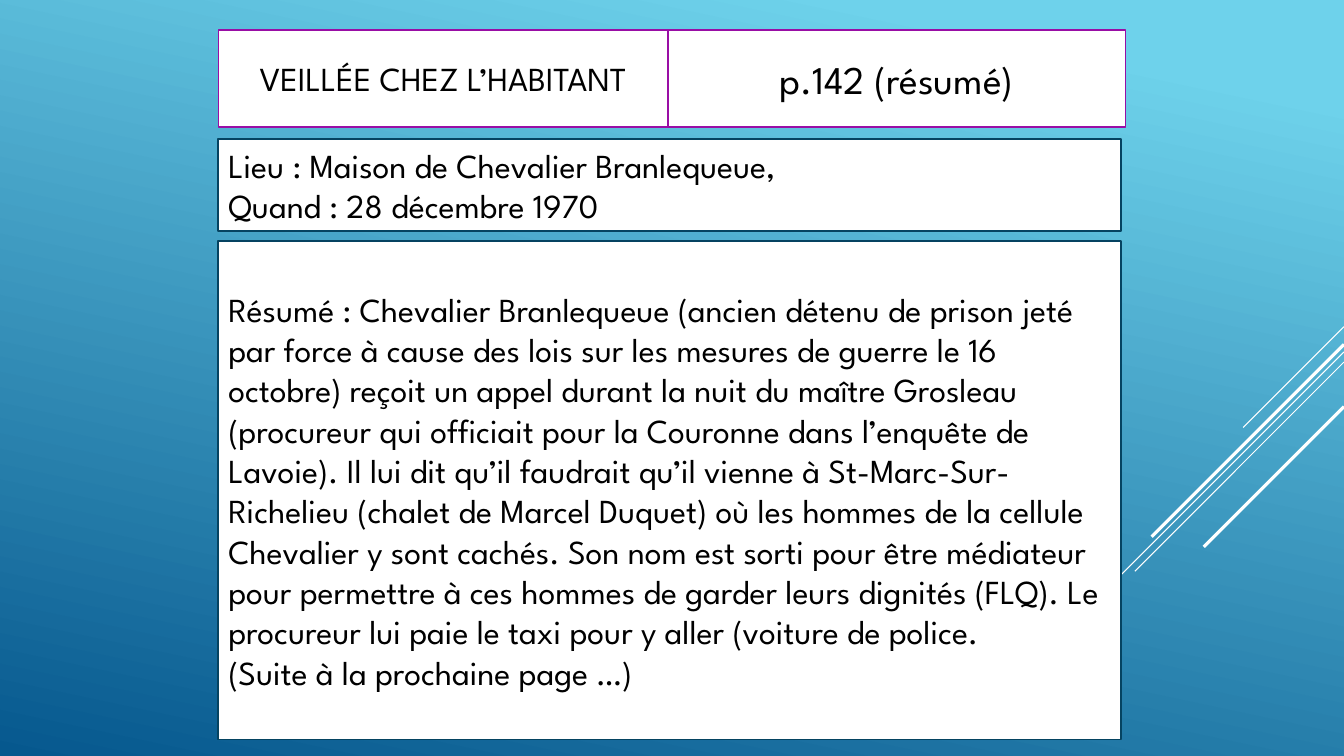
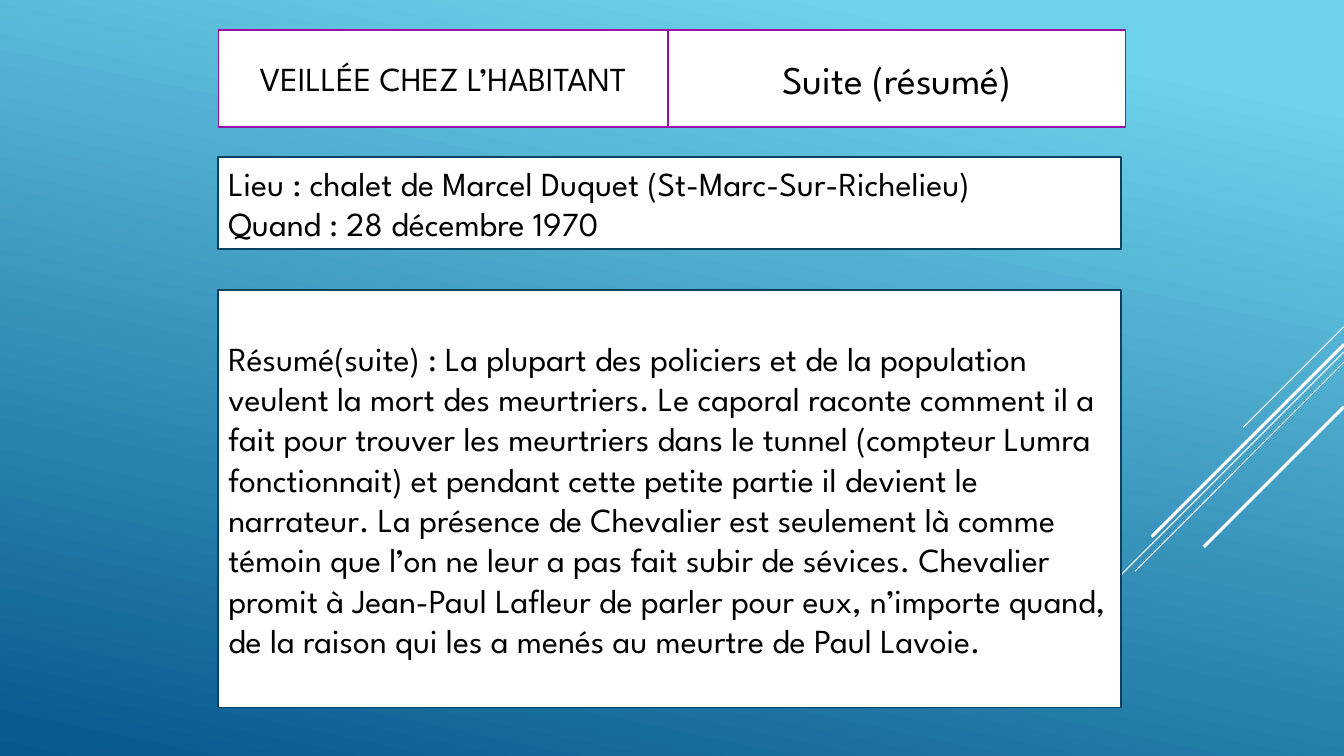
from dataclasses import dataclass

from lxml.etree import SubElement
from pptx import Presentation
from pptx.dml.color import RGBColor
from pptx.enum.shapes import MSO_CONNECTOR, MSO_SHAPE
from pptx.enum.text import MSO_ANCHOR, MSO_AUTO_SIZE, PP_ALIGN
from pptx.oxml.ns import qn
from pptx.util import Inches, Pt


@dataclass(frozen=True)
class Theme:
    font: str = "League Spartan"
    text: RGBColor = RGBColor(0, 0, 0)
    panel: RGBColor = RGBColor(0xFF, 0xFF, 0xFF)
    heading_border: RGBColor = RGBColor(0x99, 0x0E, 0xA5)
    content_border: RGBColor = RGBColor(0x05, 0x43, 0x61)
    sky_light: RGBColor = RGBColor(0x6E, 0xD2, 0xEB)
    sky_dark: RGBColor = RGBColor(0x06, 0x58, 0x8E)
    body_size: int = 24
    page_size: int = 28
    border_width: float = 1.25


@dataclass(frozen=True)
class Frame:
    """A rectangle in grid cells."""
    column: float
    row: float
    columns: float
    rows: float


@dataclass(frozen=True)
class Streak:
    """A diagonal that falls from the right edge of the slide."""
    row: float
    run: float
    width: float


@dataclass(frozen=True)
class Summary:
    page: str
    setting: list[str]
    setting_row: float
    story: list[str]
    story_row: float
    story_rows: float


THEME = Theme()

# Grid of square cells: 160 columns by 90 rows
COLUMNS, ROWS = 160, 90
SLIDE_WIDTH, SLIDE_HEIGHT = Inches(13.33), Inches(7.5)

LEFT, CONTENT_COLUMNS, SETTING_ROWS = 26, 107.5, 10.95
TITLE_FRAME = Frame(LEFT, 3.6, 53.5, 11.5)
PAGE_FRAME = Frame(LEFT + TITLE_FRAME.columns, TITLE_FRAME.row, 54.5, TITLE_FRAME.rows)

STREAKS = [
    Streak(38.9, 12, 0.75),
    Streak(41.9, 39.1, 0.75),
    Streak(43.1, 24.9, 0.75),
    Streak(41, 22.9, 2.25),
    Streak(48.4, 16.7, 2.25),
]

TITLE = "VEILLÉE CHEZ L’HABITANT"
SUMMARIES = [
    Summary(
        page="p.142 (résumé)",
        setting=["Lieu : Maison de Chevalier Branlequeue,", "Quand : 28 décembre 1970"],
        setting_row=16.55,
        story=[
            "Résumé : Chevalier Branlequeue (ancien détenu de prison jeté par force à cause "
            "des lois sur les mesures de guerre le 16 octobre) reçoit un appel durant la nuit "
            "du maître Grosleau (procureur qui officiait pour la Couronne dans l’enquête de "
            "Lavoie). Il lui dit qu’il faudrait qu’il vienne à St-Marc-Sur-Richelieu (chalet "
            "de Marcel Duquet) où les hommes de la cellule Chevalier y sont cachés. Son nom "
            "est sorti pour être médiateur pour permettre à ces hommes de garder leurs "
            "dignités (FLQ). Le procureur lui paie le taxi pour y aller (voiture de police.",
            "(Suite à la prochaine page …)",
        ],
        story_row=28.65,
        story_rows=59.4,
    ),
    Summary(
        page="Suite (résumé)",
        setting=["Lieu : chalet de Marcel Duquet (St-Marc-Sur-Richelieu)",
                 "Quand : 28 décembre 1970"],
        setting_row=18.7,
        story=[
            "Résumé(suite) : La plupart des policiers et de la population veulent la mort des "
            "meurtriers. Le caporal raconte comment il a fait pour trouver les meurtriers dans "
            "le tunnel (compteur Lumra fonctionnait) et pendant cette petite partie il devient "
            "le narrateur. La présence de Chevalier est seulement là comme témoin que l’on ne "
            "leur a pas fait subir de sévices. Chevalier promit à Jean-Paul Lafleur de parler "
            "pour eux, n’importe quand, de la raison qui les a menés au meurtre de Paul Lavoie.",
        ],
        story_row=34.55,
        story_rows=49.7,
    ),
]


def across(columns: float) -> int:
    return round(SLIDE_WIDTH * columns / COLUMNS)


def down(rows: float) -> int:
    return round(SLIDE_HEIGHT * rows / ROWS)


def paint_background(master) -> None:
    fill = master.background.fill
    fill.gradient()
    fill.gradient_angle = 258
    stops = zip(fill.gradient_stops, (0.1, 1), (THEME.sky_light, THEME.sky_dark))
    for stop, position, color in stops:
        stop.position = position
        stop.color.rgb = color


def add_streaks(slide) -> None:
    for streak in STREAKS:
        connector = slide.shapes.add_connector(
            MSO_CONNECTOR.STRAIGHT,
            across(COLUMNS), down(streak.row),
            across(COLUMNS - streak.run), down(streak.row + streak.run))
        connector.line.color.rgb = THEME.panel
        connector.line.width = Pt(streak.width)
        SubElement(connector._element.spPr, qn("a:effectLst"))


def format_panel(shape, frame: Frame, paragraphs: list[str], border: RGBColor,
                 alignment: PP_ALIGN, size: int) -> None:
    shape.left, shape.top = across(frame.column), down(frame.row)
    shape.width, shape.height = across(frame.columns), down(frame.rows)
    shape.fill.solid()
    shape.fill.fore_color.rgb = THEME.panel
    shape.line.color.rgb = border
    shape.line.width = Pt(THEME.border_width)
    text_frame = shape.text_frame
    text_frame.text = "\n".join(paragraphs)
    text_frame.word_wrap = True
    text_frame.auto_size = MSO_AUTO_SIZE.NONE
    text_frame.vertical_anchor = MSO_ANCHOR.MIDDLE
    for paragraph in text_frame.paragraphs:
        paragraph.alignment = alignment
        paragraph.font.name = THEME.font
        paragraph.font.size = Pt(size)
        paragraph.font.color.rgb = THEME.text


def add_panel(slide, frame: Frame, paragraphs: list[str], border: RGBColor = THEME.content_border,
              alignment: PP_ALIGN = PP_ALIGN.LEFT, size: int = THEME.body_size):
    shape = slide.shapes.add_shape(MSO_SHAPE.RECTANGLE, 0, 0, 0, 0)
    shape.shadow.inherit = False
    format_panel(shape, frame, paragraphs, border, alignment, size)
    return shape


def add_summary(presentation, summary: Summary) -> None:
    slide = presentation.slides.add_slide(presentation.slide_layouts.get_by_name("Title Only"))
    add_streaks(slide)

    # Heading: title and page reference
    format_panel(slide.shapes.title, TITLE_FRAME, [TITLE], THEME.heading_border,
                 PP_ALIGN.CENTER, THEME.body_size)
    page = add_panel(slide, PAGE_FRAME, [summary.page], THEME.heading_border,
                     PP_ALIGN.CENTER, THEME.page_size)
    page.text_frame.paragraphs[0].space_before = Pt(THEME.page_size * 0.2)

    # Content: setting and story
    add_panel(slide, Frame(LEFT, summary.story_row, CONTENT_COLUMNS, summary.story_rows),
              summary.story)
    add_panel(slide, Frame(LEFT, summary.setting_row, CONTENT_COLUMNS, SETTING_ROWS),
              summary.setting)


presentation = Presentation()
presentation.slide_width, presentation.slide_height = SLIDE_WIDTH, SLIDE_HEIGHT
paint_background(presentation.slide_master)
for summary in SUMMARIES:
    add_summary(presentation, summary)
presentation.save("out.pptx")
